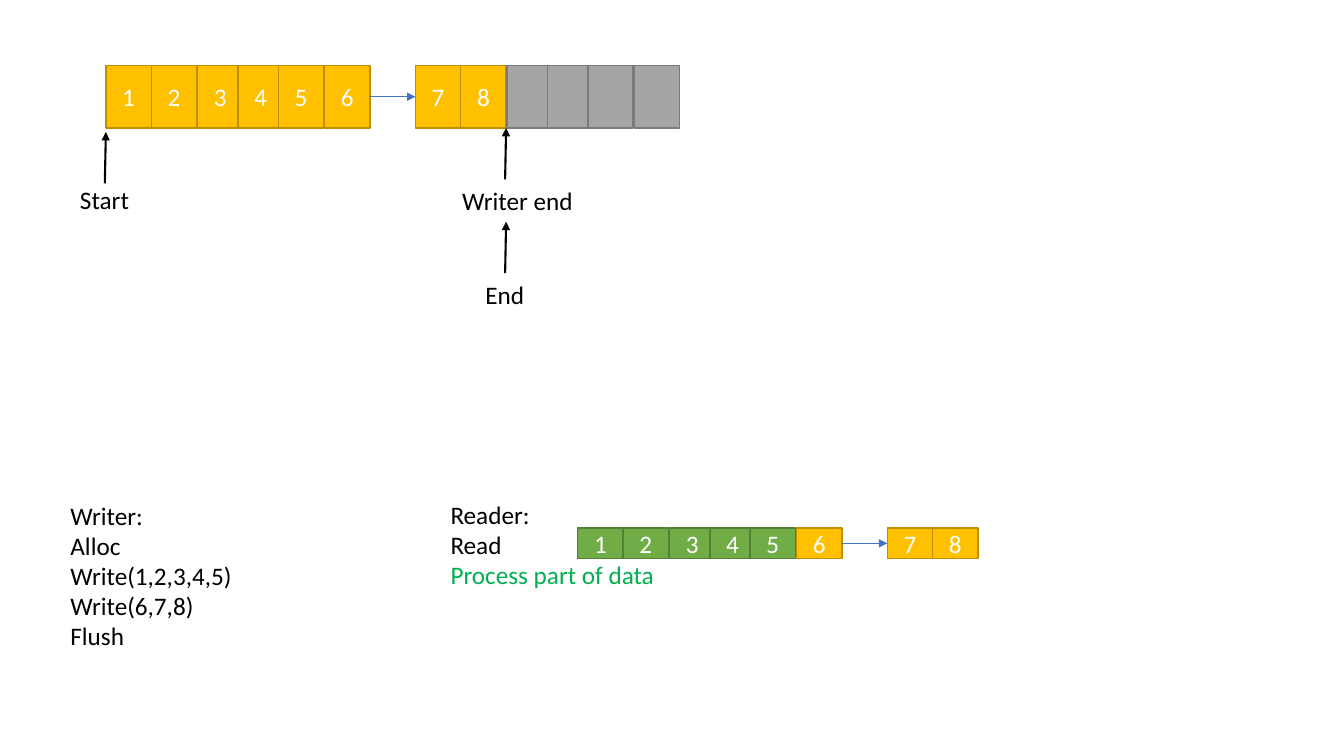
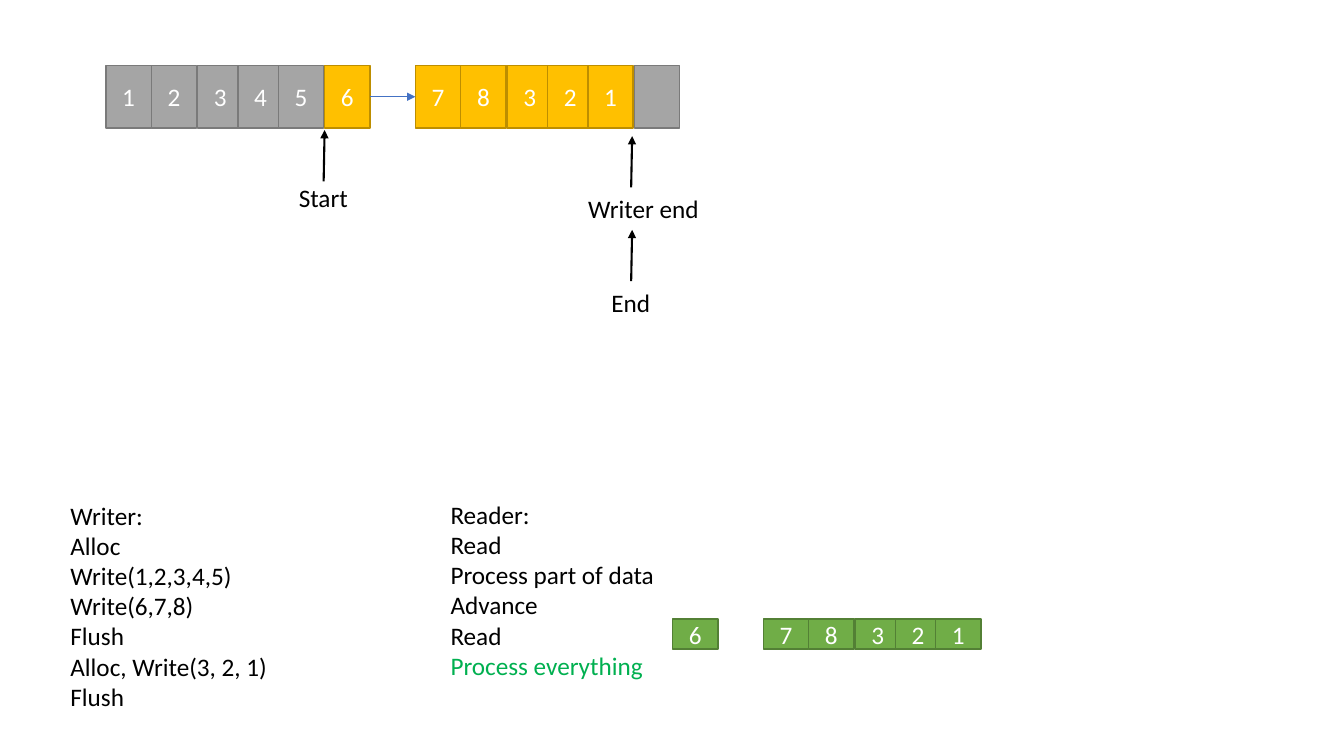
"""Draw two states of a segmented read and write buffer."""
from dataclasses import dataclass
from typing import NamedTuple

from lxml import etree
from pptx import Presentation, util as u
from pptx.dml.color import RGBColor
from pptx.enum import shapes, text
from pptx.oxml import ns


class Paint(NamedTuple):
    fill: RGBColor
    line: RGBColor


@dataclass(frozen=True)
class Theme:
    font: str = "Calibri"
    size: u.Pt = u.Pt(18)
    ink: RGBColor = RGBColor(0x00, 0x00, 0x00)
    cell_text: RGBColor = RGBColor(0xFF, 0xFF, 0xFF)
    current: RGBColor = RGBColor(0x00, 0xB0, 0x50)
    link: RGBColor = RGBColor(0x44, 0x72, 0xC4)
    written: Paint = Paint(RGBColor(0xFF, 0xC0, 0x00), RGBColor(0xBD, 0x8E, 0x00))
    free: Paint = Paint(RGBColor(0xA5, 0xA5, 0xA5), RGBColor(0x7A, 0x7A, 0x7A))
    read: Paint = Paint(RGBColor(0x70, 0xAD, 0x47), RGBColor(0x53, 0x80, 0x35))
    cell_line: u.Pt = u.Pt(1)
    link_line: u.Pt = u.Pt(0.5)
    pointer_line: u.Pt = u.Pt(1.5)


THEME = Theme()
PAINTS = {"W": THEME.written, "F": THEME.free, "R": THEME.read}
SLOT_OFFSETS = (0, 0.45, 0.91, 1.31, 1.71, 2.17)
SEGMENT_PITCH = 3.07
CELL_WIDTH = 0.45
LINE_HEIGHT = 0.3
ARROW_LENGTH = 0.51
ARROW_LEAN = 0.01


@dataclass(frozen=True)
class Buffer:
    """Cells by slot: a state of '.' skips the slot, a label of ' ' leaves it empty."""
    left: float
    top: float
    height: float
    labels: str
    states: str
    linked: bool = True


@dataclass(frozen=True)
class Pointer:
    label: str
    x: float
    tip: float
    width: float
    drop: float = 0.52
    shift: float = 0


@dataclass(frozen=True)
class Steps:
    left: float
    top: float
    width: float
    lines: tuple[str, ...]
    last_color: RGBColor = THEME.ink


@dataclass(frozen=True)
class Scene:
    steps: tuple[Steps, ...]
    buffers: tuple[Buffer, ...]
    pointers: tuple[Pointer, ...]


def add_run(paragraph, content: str, color: RGBColor) -> None:
    """Append a run in the shared font."""
    run = paragraph.add_run()
    run.text = content
    run.font.name = THEME.font
    run.font.size = THEME.size
    run.font.color.rgb = color


def style_arrow(connector, color: RGBColor, width: u.Pt) -> None:
    """Colour a connector, add its arrowhead and remove its shadow."""
    connector.line.color.rgb = color
    connector.line.width = width
    properties = connector.element.spPr
    line = properties.find(ns.qn("a:ln"))
    etree.SubElement(line, ns.qn("a:tailEnd"), type="triangle")
    etree.SubElement(properties, ns.qn("a:effectLst"))


def add_steps(container, steps: Steps) -> None:
    """Write lines of text, the last in its own colour."""
    height = LINE_HEIGHT * len(steps.lines) + 0.1
    box = container.add_textbox(
        u.Inches(steps.left), u.Inches(steps.top), u.Inches(steps.width), u.Inches(height)
    )
    frame = box.text_frame
    frame.word_wrap = False
    frame.auto_size = text.MSO_AUTO_SIZE.SHAPE_TO_FIT_TEXT
    last = len(steps.lines) - 1
    for index, line in enumerate(steps.lines):
        paragraph = frame.add_paragraph() if index else frame.paragraphs[0]
        add_run(paragraph, line, steps.last_color if index == last else THEME.ink)


def add_cell(slide, left: float, buffer: Buffer, label: str, paint: Paint):
    """Draw one buffer cell and return it."""
    shape = slide.shapes.add_shape(
        shapes.MSO_SHAPE.RECTANGLE,
        u.Inches(left), u.Inches(buffer.top), u.Inches(CELL_WIDTH), u.Inches(buffer.height),
    )
    shape.shadow.inherit = False
    shape.fill.solid()
    shape.fill.fore_color.rgb = paint.fill
    shape.line.color.rgb = paint.line
    shape.line.width = THEME.cell_line
    if label.strip():
        shape.text_frame.vertical_anchor = text.MSO_ANCHOR.MIDDLE
        paragraph = shape.text_frame.paragraphs[0]
        paragraph.alignment = text.PP_ALIGN.CENTER
        add_run(paragraph, label, THEME.cell_text)
    return shape


def add_buffer(slide, buffer: Buffer) -> None:
    """Draw the cells of both segments and the link between them."""
    cells = {}
    for slot, (label, state) in enumerate(zip(buffer.labels, buffer.states)):
        if state == ".":
            continue
        segment, position = divmod(slot, len(SLOT_OFFSETS))
        left = buffer.left + segment * SEGMENT_PITCH + SLOT_OFFSETS[position]
        cells[slot] = add_cell(slide, left, buffer, label, PAINTS[state])
    if buffer.linked:
        head = len(SLOT_OFFSETS)
        link = slide.shapes.add_connector(shapes.MSO_CONNECTOR.STRAIGHT, 0, 0, 0, 0)
        link.begin_connect(cells[head - 1], 3)
        link.end_connect(cells[head], 1)
        style_arrow(link, THEME.link, THEME.link_line)


def add_pointer(slide, pointer: Pointer) -> None:
    """Group an upward arrow with the label under it."""
    group = slide.shapes.add_group_shape()
    arrow = group.shapes.add_connector(
        shapes.MSO_CONNECTOR.STRAIGHT,
        u.Inches(pointer.x - ARROW_LEAN), u.Inches(pointer.tip + ARROW_LENGTH),
        u.Inches(pointer.x), u.Inches(pointer.tip),
    )
    style_arrow(arrow, THEME.ink, THEME.pointer_line)
    left = pointer.x + pointer.shift - pointer.width / 2
    add_steps(
        group.shapes,
        Steps(left, pointer.tip + pointer.drop, pointer.width, (pointer.label,)),
    )


def end_pointers(x: float, tip: float) -> tuple[Pointer, Pointer]:
    """Stack the end pointer under the writer end pointer."""
    return (
        Pointer("End", x, tip + 0.93, 0.59, shift=-0.01),
        Pointer("Writer end", x, tip, 1.31, shift=0.12),
    )


def start_pointer(x: float, tip: float) -> Pointer:
    """Describe the start pointer."""
    return Pointer("Start", x, tip, 0.69, drop=0.47, shift=-0.01)


def main_buffer(labels: str, states: str) -> Buffer:
    """Describe the full buffer at the top of a slide."""
    return Buffer(1.05, 0.65, 0.62, labels, states)


def writer_steps(width: float, *lines: str) -> Steps:
    """List the writer's calls."""
    return Steps(0.6, 4.91, width, ("Writer:", *lines))


def reader_steps(*lines: str) -> Steps:
    """List the reader's calls, the current one in green."""
    return Steps(4.37, 4.9, 2.24, ("Reader:", *lines), THEME.current)


FIRST_WRITES = ("Alloc", "Write(1,2,3,4,5)", "Write(6,7,8)", "Flush")
FIRST_READS = ("Read", "Process part of data")

SCENES = (
    Scene(
        (writer_steps(1.82, *FIRST_WRITES), reader_steps(*FIRST_READS)),
        (
            main_buffer("12345678    ", "WWWWWWWWFFFF"),
            Buffer(5.73, 5.24, 0.3, "12345678", "RRRRRWWW"),
        ),
        (*end_pointers(5.02, 1.27), start_pointer(1.05, 1.31)),
    ),
    Scene(
        (
            writer_steps(2.17, *FIRST_WRITES, "Alloc, Write(3, 2, 1)", "Flush"),
            reader_steps(*FIRST_READS, "Advance", "Read", "Process everything"),
        ),
        (
            Buffer(4.5, 6.14, 0.3, "12345678321", ".....RRRRRR", linked=False),
            main_buffer("12345678321 ", "FFFFFWWWWWWF"),
        ),
        (*end_pointers(6.27, 1.35), start_pointer(3.22, 1.29)),
    ),
)


def main() -> None:
    """Build and save the presentation."""
    presentation = Presentation()
    presentation.slide_width = u.Inches(13.33)
    presentation.slide_height = u.Inches(7.5)
    for scene in SCENES:
        slide = presentation.slides.add_slide(presentation.slide_layouts[6])
        for steps in scene.steps:
            add_steps(slide.shapes, steps)
        for buffer in scene.buffers:
            add_buffer(slide, buffer)
        for pointer in scene.pointers:
            add_pointer(slide, pointer)
    presentation.save("out.pptx")


if __name__ == "__main__":
    main()
